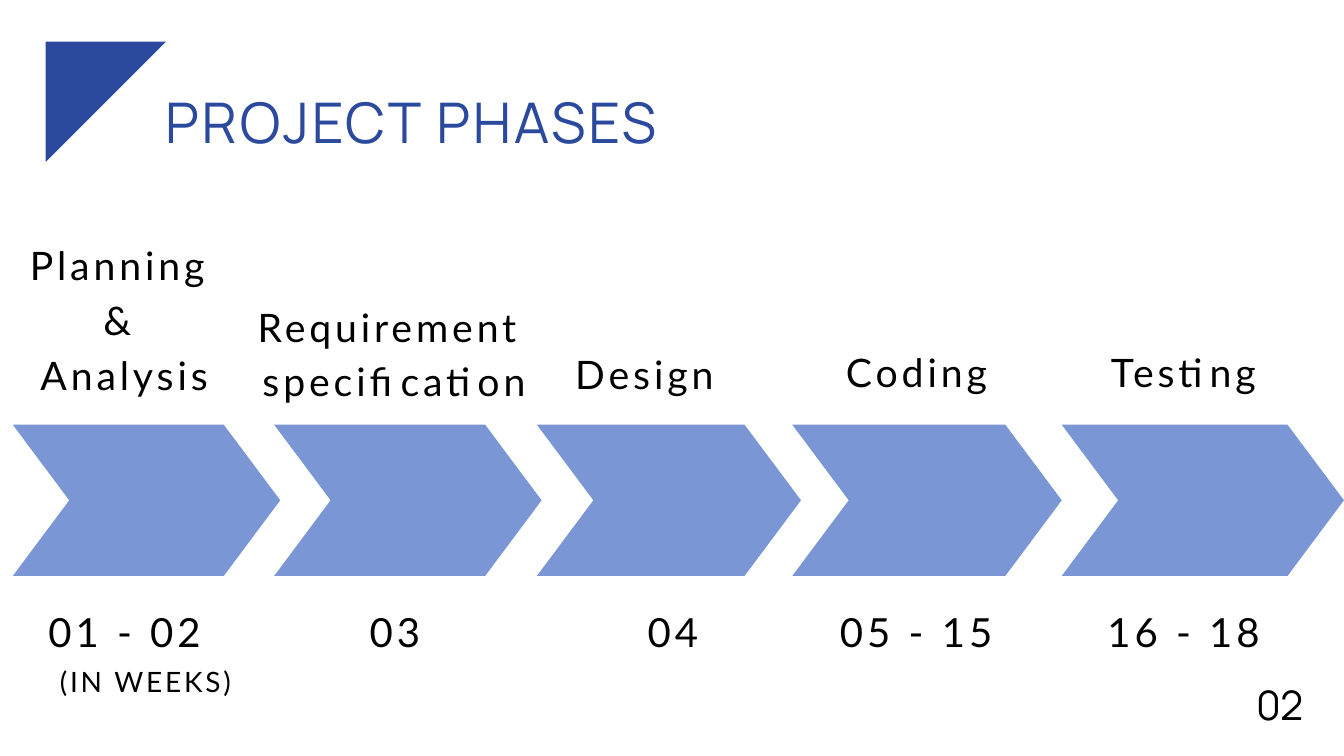
from dataclasses import dataclass

from pptx import Presentation
from pptx.dml.color import RGBColor
from pptx.enum.shapes import MSO_SHAPE as Shape
from pptx.enum.text import MSO_ANCHOR as Anchor, MSO_AUTO_SIZE as AutoSize, PP_ALIGN as Align
from pptx.util import Inches, Pt


@dataclass(frozen=True)
class Theme:
    navy: str = "2B4A9D"
    blue: str = "7B96D4"
    black: str = "000000"
    body_font: str = "Lato"
    head_font: str = "Manrope"
    title: float = 60
    label: float = 42
    weeks: float = 43
    note: float = 30
    page: float = 43.5


THEME = Theme()
CHEVRON_TOP, CHEVRON_HEIGHT, CHEVRON_TIP = 6.32, 2.25, 0.84
WEEKS_TOP, WEEKS_HEIGHT = 8.92, 0.81

# chevron (left, width), label lines, label box, weeks, weeks (left, width)
PHASES = [
    ((0.19, 3.98), ["Planning ", "& ", "Analysis"], (0, 3.48, 3.7, 2.39), "01 - 02", (0.7, 2.31)),
    ((4.08, 3.98), ["Requirement ", "specification"], (3.75, 4.39, 4.23, 1.6), "03", (5.47, 0.81)),
    ((7.99, 3.93), ["Design"], (8.42, 5.09, 2.34, 0.83), "04", (9.61, 0.81)),
    ((11.79, 4.01), ["Coding"], (12.54, 5.07, 2.2, 0.79), "05 - 15", (12.48, 2.31)),
    ((15.8, 4.2), ["Testing"], (16.44, 5.07, 2.34, 0.79), "16 - 18", (16.46, 2.31)),
]


def write(sp, lines, *, size, line, spacing, font=THEME.body_font, color=THEME.black):
    """Fill a shape with centred lines; line and letter spacing are in points."""
    tf = sp.text_frame
    tf.word_wrap = True
    tf.auto_size = AutoSize.NONE
    tf.vertical_anchor = Anchor.TOP
    tf.margin_left = tf.margin_top = tf.margin_right = tf.margin_bottom = 0
    for i, text in enumerate(lines):
        p = tf.add_paragraph() if i else tf.paragraphs[0]
        p.alignment = Align.CENTER
        p.line_spacing = Pt(line)
        r = p.add_run()
        r.text = text
        r.font.name = font
        r.font.size = Pt(size)
        r.font.color.rgb = RGBColor.from_string(color)
        r.font._element.set("spc", str(round(spacing * 100)))


def add_text(s, box, lines, **fmt):
    write(s.shapes.add_textbox(*map(Inches, box)), lines, **fmt)


def add_shape(s, kind, box, color):
    sp = s.shapes.add_shape(kind, *map(Inches, box))
    sp.shadow.inherit = False
    sp.fill.solid()
    sp.fill.fore_color.rgb = RGBColor.from_string(color)
    sp.line.fill.background()
    return sp


def add_title(s, box, text):
    sp = s.shapes.title
    sp.left, sp.top, sp.width, sp.height = map(Inches, box)
    write(sp, [text], size=THEME.title, line=63, spacing=3,
          font=THEME.head_font, color=THEME.navy)


def add_phase(s, chevron, label, label_box, weeks, weeks_span):
    left, width = chevron
    sp = add_shape(s, Shape.CHEVRON, (left, CHEVRON_TOP, width, CHEVRON_HEIGHT), THEME.blue)
    sp.adjustments[0] = CHEVRON_TIP / CHEVRON_HEIGHT
    add_text(s, label_box, label, size=THEME.label, line=58.8, spacing=4.2)
    left, width = weeks_span
    add_text(s, (left, WEEKS_TOP, width, WEEKS_HEIGHT), [weeks],
             size=THEME.weeks, line=60.2, spacing=4.3)


def main():
    prs = Presentation()
    prs.slide_width, prs.slide_height = Inches(20), Inches(11.25)
    s = prs.slides.add_slide(prs.slide_layouts[5])

    corner = add_shape(s, Shape.RIGHT_TRIANGLE, (0.68, 0.62, 1.79, 1.79), THEME.navy)
    corner.rotation = 90
    add_title(s, (1.64, 1.43, 8.95, 0.98), "PROJECT PHASES")
    for phase in PHASES:
        add_phase(s, *phase)
    add_text(s, (0.63, 9.8, 3.07, 0.59), ["(IN WEEKS)"], size=THEME.note, line=42, spacing=3)
    add_text(s, (18.56, 9.99, 0.97, 0.86), ["02"], size=THEME.page, line=61,
             spacing=-0.9, font=THEME.head_font)
    prs.save("out.pptx")


if __name__ == "__main__":
    main()
